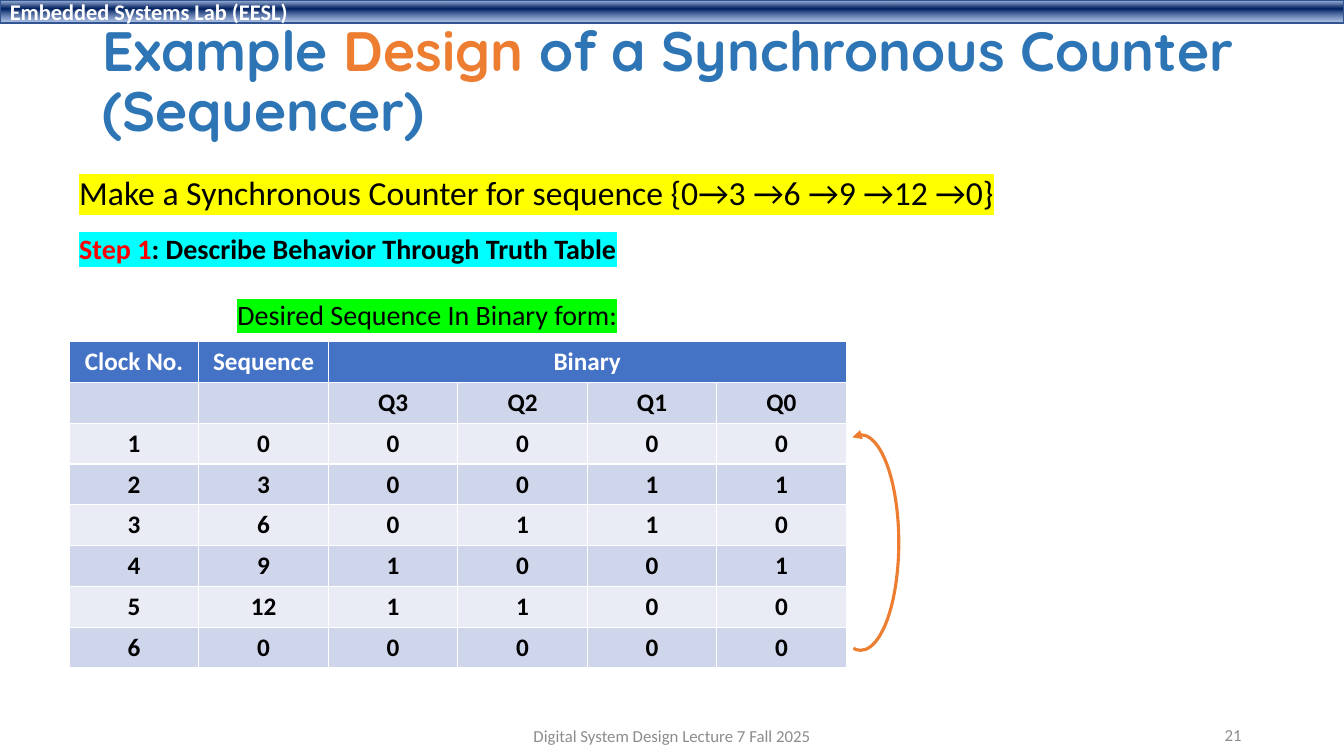
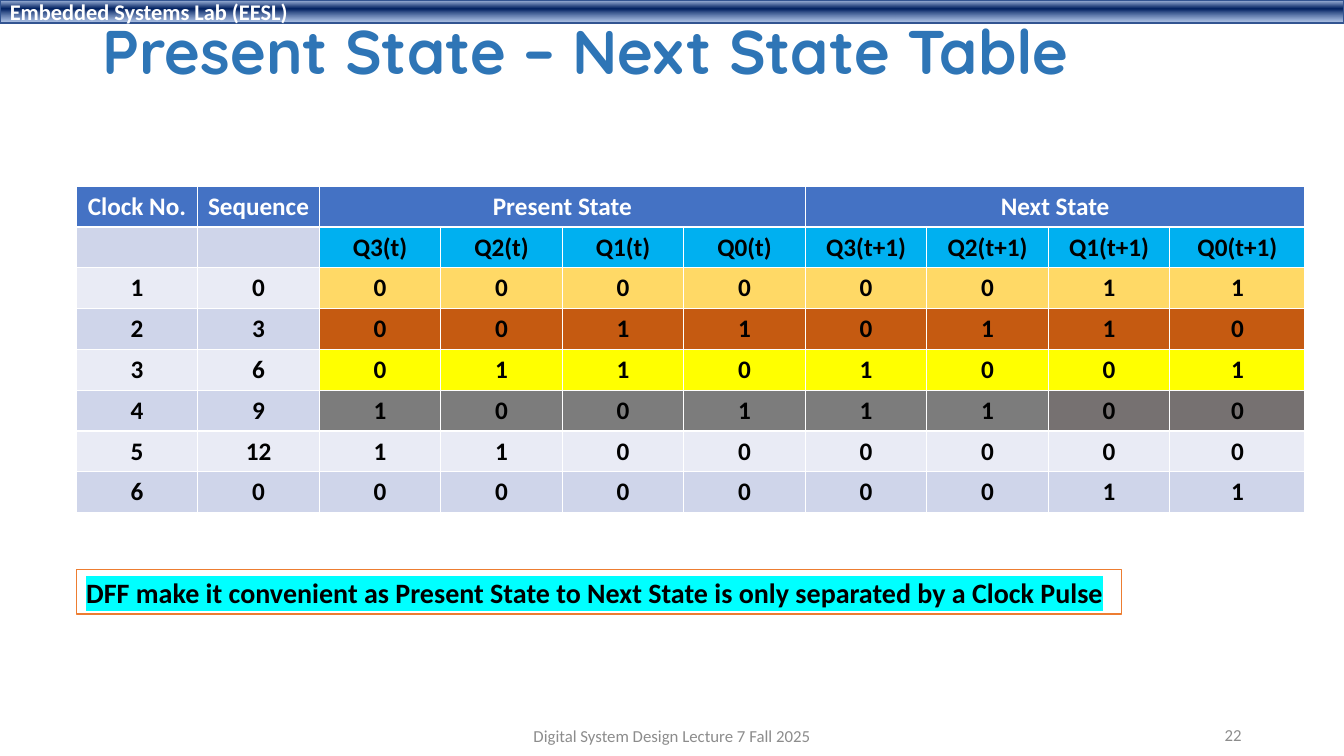
import lxml.etree
import pptx
import pptx.dml.color
import pptx.enum.shapes
import pptx.enum.text
import pptx.oxml.ns
import pptx.util

COLORS = {
    "white": "FFFFFF", "black": "000000", "title": "2E75B6", "orange": "ED7D31",
    "red": "FF0000", "grey": "8C8C8C", "yellow": "FFFF00", "green": "00FF00",
    "cyan": "00FFFF", "band_line": "325491", "band_top": "ABC0E4",
    "band_mid": "002060", "band_end": "7E9ED6", "header": "4472C4",
    "row_dark": "CFD5EA", "row_light": "E9EBF5", "state_head": "00B0F0",
    "gold": "FFD966", "rust": "C55A11", "ash": "7C7C7C", "warm_ash": "767171",
}
RGB = {k: pptx.dml.color.RGBColor.from_string(v) for k, v in COLORS.items()}
ALIGN = pptx.enum.text.PP_ALIGN
MIDDLE = pptx.enum.text.MSO_ANCHOR.MIDDLE
SHAPE = pptx.enum.shapes.MSO_SHAPE
qn = pptx.oxml.ns.qn

# Slide and grid: 192 columns by 108 rows of square cells
prs = pptx.Presentation()
prs.slide_width, prs.slide_height = pptx.util.Inches(13.33), pptx.util.Inches(7.5)
COL, ROW = prs.slide_width / 192, prs.slide_height / 108


def add(s, at, kind=None):
    """Add a text box, or a plain preset shape, at grid left, top, width, height."""
    x, y, w, h = at
    at = [int(v) for v in (x * COL, y * ROW, w * COL, h * ROW)]
    if kind is None:
        sp = s.shapes.add_textbox(*at)
    else:
        sp = s.shapes.add_shape(kind, *at)
        sp.shadow.inherit = False
    sp.text_frame.word_wrap = True
    return sp


def write(tf, runs, size, align=ALIGN.LEFT, name="Calibri", bold=False, mark=None):
    """Fill the first paragraph with (text, colour) runs, optionally highlighted."""
    p = tf.paragraphs[0]
    p.alignment = align
    fmt = {"size": pptx.util.Pt(size), "name": name, "bold": bold}
    for text, color in runs:
        r = p.add_run()
        r.text = text
        for key, value in fmt.items():
            setattr(r.font, key, value)
        r.font.color.rgb = RGB[color]
        if mark:
            hl = lxml.etree.Element(qn("a:highlight"))
            lxml.etree.SubElement(hl, qn("a:srgbClr"), val=COLORS[mark])
            r.font._element.find(qn("a:solidFill")).addnext(hl)
    return p


SEQUENCE = [0, 3, 6, 9, 12, 0]
BITS = [f"{n:04b}" for n in SEQUENCE]
NEXT_BITS = [BITS[(i + 1) % 5] for i in range(len(BITS))]
Q = ["Q3", "Q2", "Q1", "Q0"]

slides = [
    {
        "number": "21", "title_size": 39.6, "title_rows": 19.4,
        "title": [("Example ", "title"), ("Design ", "orange"),
                  ("of a Synchronous Counter (Sequencer)", "title")],
        "notes": [
            ((9.9, 23.9, 134.6, 7.2), 24, False, "yellow", None,
             [("Make a Synchronous Counter for sequence {0→3 →6 →9 →12 →0}", "black")]),
            ((9.9, 32.3, 80.4, 6.3), 20, True, "cyan", None,
             [("Step 1", "red"), (": Describe Behavior Through Truth Table", "black")]),
            ((32.5, 41.8, 57.6, 6.3), 20, False, "green", None,
             [("Desired Sequence In Binary form:", "black")]),
        ],
        "table_at": (9.9, 48.8), "widths": [18.5] * 6,
        "groups": ["Binary"], "heads": Q, "bits": BITS, "state_fills": {},
    },
    {
        "number": "22", "title_size": 44, "title_rows": 11.1,
        "title": [("Present State – Next State Table", "title")],
        "notes": [
            ((10.9, 81.4, 149.3, 6.3), 20, True, "cyan", SHAPE.RECTANGLE,
             [("DFF make it convenient as Present State to Next State is only "
               "separated by a Clock Pulse", "black")]),
        ],
        "table_at": (10.9, 26.6), "widths": [17.36] * 9 + [19.3],
        "groups": ["Present State", "Next State"],
        "heads": [q + "(t)" for q in Q] + [q + "(t+1)" for q in Q],
        "bits": [now + nxt for now, nxt in zip(BITS, NEXT_BITS)],
        "state_fills": {1: ["state_head"] * 8, 2: ["gold"] * 8, 3: ["rust"] * 8,
                        4: ["yellow"] * 8, 5: ["ash"] * 6 + ["warm_ash"] * 2},
    },
]

for d in slides:
    s = prs.slides.add_slide(prs.slide_layouts[6])

    # Top band with a three-stop gradient
    sp = add(s, (0, 0, 192, 3.3), SHAPE.RECTANGLE)
    sp.line.color.rgb, sp.line.width = RGB["band_line"], pptx.util.Pt(1)
    sp.fill.gradient()
    sp.fill.gradient_angle = 270
    stops = sp._element.spPr.find(qn("a:gradFill")).find(qn("a:gsLst"))
    for old in list(stops):
        stops.remove(old)
    for pos, color, alpha in ((2, "band_top", 100), (38, "band_mid", 100), (93, "band_end", 64)):
        gs = lxml.etree.SubElement(stops, qn("a:gs"), pos=str(pos * 1000))
        clr = lxml.etree.SubElement(gs, qn("a:srgbClr"), val=COLORS[color])
        if alpha < 100:
            lxml.etree.SubElement(clr, qn("a:alpha"), val=str(alpha * 1000))
    sp.text_frame.vertical_anchor = MIDDLE
    write(sp.text_frame, [("Embedded Systems Lab (EESL)", "white")], 16, bold=True)

    # Title
    tf = add(s, (13.2, 2.2, 165.6, d["title_rows"])).text_frame
    tf.vertical_anchor = MIDDLE
    p = write(tf, d["title"], d["title_size"], name="Quicksand", bold=True)
    p.line_spacing = 0.9

    # Highlighted lines
    for at, size, bold, mark, kind, runs in d["notes"]:
        sp = add(s, at, kind)
        if kind is not None:
            sp.fill.solid()
            sp.fill.fore_color.rgb = RGB["white"]
            sp.line.color.rgb, sp.line.width = RGB["orange"], pptx.util.Pt(1)
        tf = sp.text_frame
        tf.word_wrap = False
        tf.auto_size = pptx.enum.text.MSO_AUTO_SIZE.SHAPE_TO_FIT_TEXT
        write(tf, runs, size, bold=bold, mark=mark)

    # State table
    rows = [["Clock No.", "Sequence"] + [t for g in d["groups"] for t in (g, "", "", "")],
            ["", ""] + d["heads"]]
    rows += [[str(i), str(n), *bits]
             for i, (n, bits) in enumerate(zip(SEQUENCE, d["bits"]), 1)]
    x, y = d["table_at"]
    table = s.shapes.add_table(
        len(rows), len(d["widths"]), int(x * COL), int(y * ROW),
        int(sum(d["widths"]) * COL), int(5.83 * len(rows) * ROW)).table
    for column, width in zip(table.columns, d["widths"]):
        column.width = int(width * COL)
    for i, row in enumerate(rows):
        table.rows[i].height = int(5.83 * ROW)
        base = "header" if i == 0 else "row_dark" if i % 2 else "row_light"
        fills = [base] * 2 + d["state_fills"].get(i, [base] * len(d["heads"]))
        for j, (text, fill) in enumerate(zip(row, fills)):
            cell = table.cell(i, j)
            cell.margin_left = cell.margin_right = int(COL)
            cell.fill.solid()
            cell.fill.fore_color.rgb = RGB[fill]
            if text:
                write(cell.text_frame, [(text, "black" if i else "white")], 18,
                      ALIGN.CENTER, bold=True)
    for j in range(2, len(d["widths"]), 4):
        table.cell(0, j).merge(table.cell(0, j + 3))

    # Footer and slide number
    for at, text, align in (
            ((63.6, 102.2, 64.8, 5.8), "Digital System Design Lecture 7 Fall 2025", ALIGN.CENTER),
            ((135.6, 102.1, 43.2, 5.8), d["number"], ALIGN.RIGHT)):
        tf = add(s, at).text_frame
        tf.vertical_anchor = MIDDLE
        write(tf, [(text, "grey")], 12, align)

# Arc from the last table row back to the first state
sp = add(prs.slides[0], (117.5, 62.1, 10.9, 30.8), SHAPE.ARC)
sp.adjustments[0], sp.adjustments[1] = 159.3, 56.34
sp.fill.background()
sp.line.color.rgb, sp.line.width = RGB["orange"], pptx.util.Pt(2.25)
lxml.etree.SubElement(sp._element.spPr.find(qn("a:ln")), qn("a:headEnd"), type="triangle")

prs.save("out.pptx")
